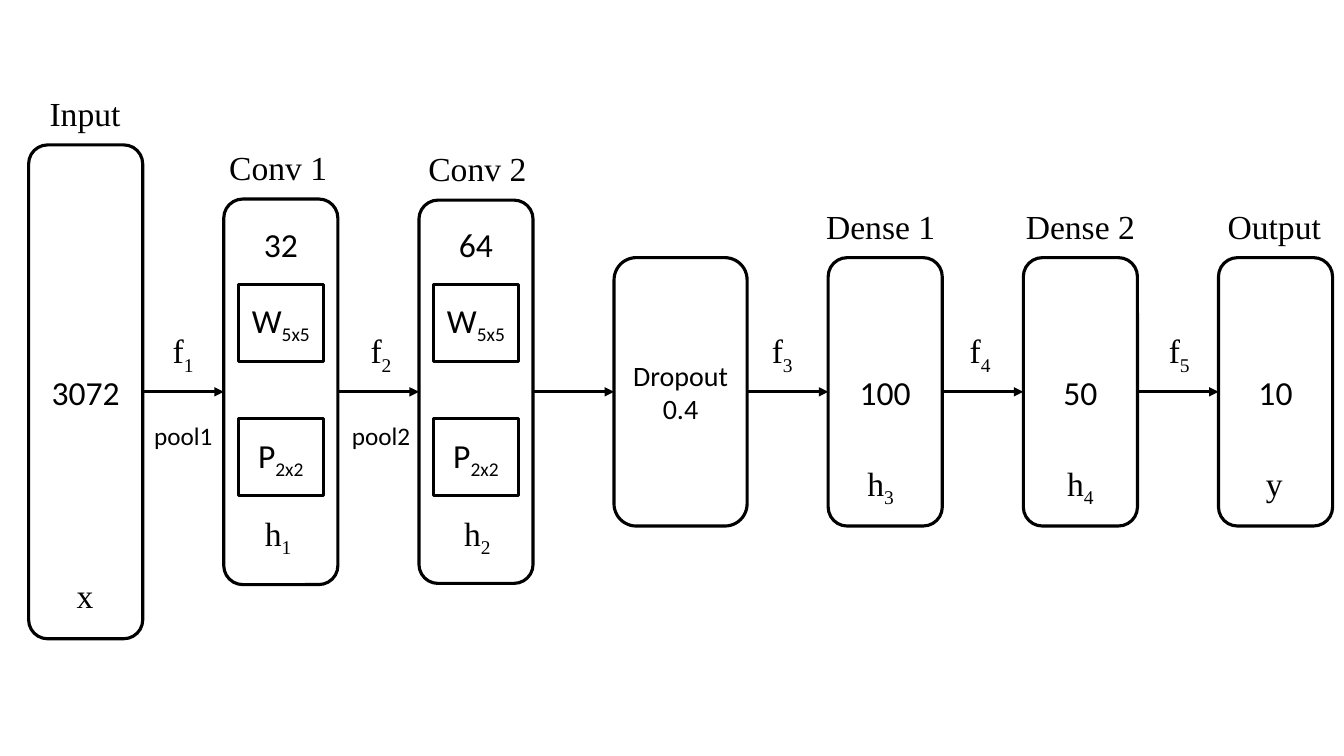
from lxml import etree
from pptx import Presentation
from pptx import util as u
from pptx.dml.color import RGBColor
from pptx.enum import shapes, text
from pptx.oxml import ns

presentation = Presentation()
presentation.slide_width, presentation.slide_height = u.Inches(13.33), u.Inches(7.5)
slide = presentation.slides.add_slide(presentation.slide_layouts[6])

# The grid has 100 columns and 100 rows; every length below counts them.
COLUMN, ROW = presentation.slide_width / 100, presentation.slide_height / 100
BLACK, WHITE = RGBColor.from_string("000000"), RGBColor.from_string("FFFFFF")
SANS, SERIF = "Calibri", "Times New Roman"
ROUNDED, RECTANGLE = shapes.MSO_SHAPE.ROUNDED_RECTANGLE, shapes.MSO_SHAPE.RECTANGLE
STROKE = u.Pt(2.25)


def fill_text(frame, content, size, font):
    """Write centred black text; in each line, "_" starts a subscript."""
    for index, line in enumerate(content.split("\n")):
        paragraph = frame.add_paragraph() if index else frame.paragraphs[0]
        paragraph.alignment = text.PP_ALIGN.CENTER
        for part, characters in enumerate(line.split("_")):
            run = paragraph.add_run()
            run.text = characters
            run.font.size, run.font.name = u.Pt(size), font
            run.font.color.rgb = BLACK
            if part:
                run._r.get_or_add_rPr().set("baseline", "-25000")


def add_block(center, middle, content, size=24, font=SANS, preset=None, width=0, height=6.67):
    """Add an outlined shape, or a text box if no preset is given, around a point."""
    width = width or 1.7 + 1.2 * len(content.replace("_", ""))
    area = [int(length) for length in ((center - width / 2) * COLUMN, (middle - height / 2) * ROW,
                                       width * COLUMN, height * ROW)]
    if preset is None:
        shape = slide.shapes.add_textbox(*area)
        shape.text_frame.word_wrap = False
        shape.text_frame.auto_size = text.MSO_AUTO_SIZE.SHAPE_TO_FIT_TEXT
    else:
        shape = slide.shapes.add_shape(preset, *area)
        shape.text_frame.vertical_anchor = text.MSO_ANCHOR.MIDDLE
        shape.shadow.inherit = False
        shape.fill.solid()
        shape.fill.fore_color.rgb = WHITE
        shape.line.color.rgb, shape.line.width = BLACK, STROKE
    if content:
        fill_text(shape.text_frame, content, size, font)


AXIS, GAP, WIDE, LAYER = 51.83, 6.03, 9.9, 8.49
# heading, width, height, inside, state, state row, label shift, then function, pool, their shift
layers = [
    ("Input", LAYER, 65.33, "3072", "x", 78.67, -0.05, "f_1", "pool1", 0),
    ("Conv 1", LAYER, 51, "32", "h_1", 70.53, -0.2, "f_2", "pool2", 0.2),
    ("Conv 2", LAYER, 50.7, "64", "h_2", 70.53, 0.1, "", "", 0),
    ("", WIDE, 35.5, "Dropout\n0.4", "", 0, 0, "f_3", "", -0.4),
    ("Dense 1", LAYER, 35.5, "100", "h_3", 63.87, -0.34, "f_4", "", -0.2),
    ("Dense 2", LAYER, 35.5, "50", "h_4", 63.87, 0, "f_5", "", 0.1),
    ("Output", LAYER, 35.5, "10", "y", 63.87, -0.1, "", "", 0),
]

left = 2.13
for heading, width, height, inside, state, state_row, shift, function, pool, gap_shift in layers:
    center, right = left + width / 2, left + width
    is_convolution = heading.startswith("Conv")
    add_block(center, AXIS, "" if is_convolution else inside, 24 if heading else 20,
              preset=ROUNDED, width=width, height=height)
    if is_convolution:
        add_block(center, 32.3, inside)
        for row, kernel in ((42.7, "W_5x5"), (60.5, "P_2x2")):
            add_block(center, row, kernel, preset=RECTANGLE, width=6.3, height=10.2)
    if heading:
        add_block(center + shift, AXIS - height / 2 - 4.2, heading, font=SERIF)
        add_block(center + shift, state_row, state, font=SERIF)

    left = right + GAP
    gap_center = right + GAP / 2 + gap_shift
    if function:
        add_block(gap_center, 46.33, function, font=SERIF)
    if pool:
        add_block(gap_center, 57.6, pool, 18, width=5.93, height=5.4)
    if heading != "Output":
        arrow = slide.shapes.add_connector(
            shapes.MSO_CONNECTOR.STRAIGHT, int(right * COLUMN), int(AXIS * ROW),
            int(left * COLUMN), int(AXIS * ROW))
        arrow.line.color.rgb, arrow.line.width = BLACK, STROKE
        etree.SubElement(arrow.line._get_or_add_ln(), ns.qn("a:tailEnd"), type="triangle")
        etree.SubElement(arrow._element.spPr, ns.qn("a:effectLst"))

presentation.save("out.pptx")
